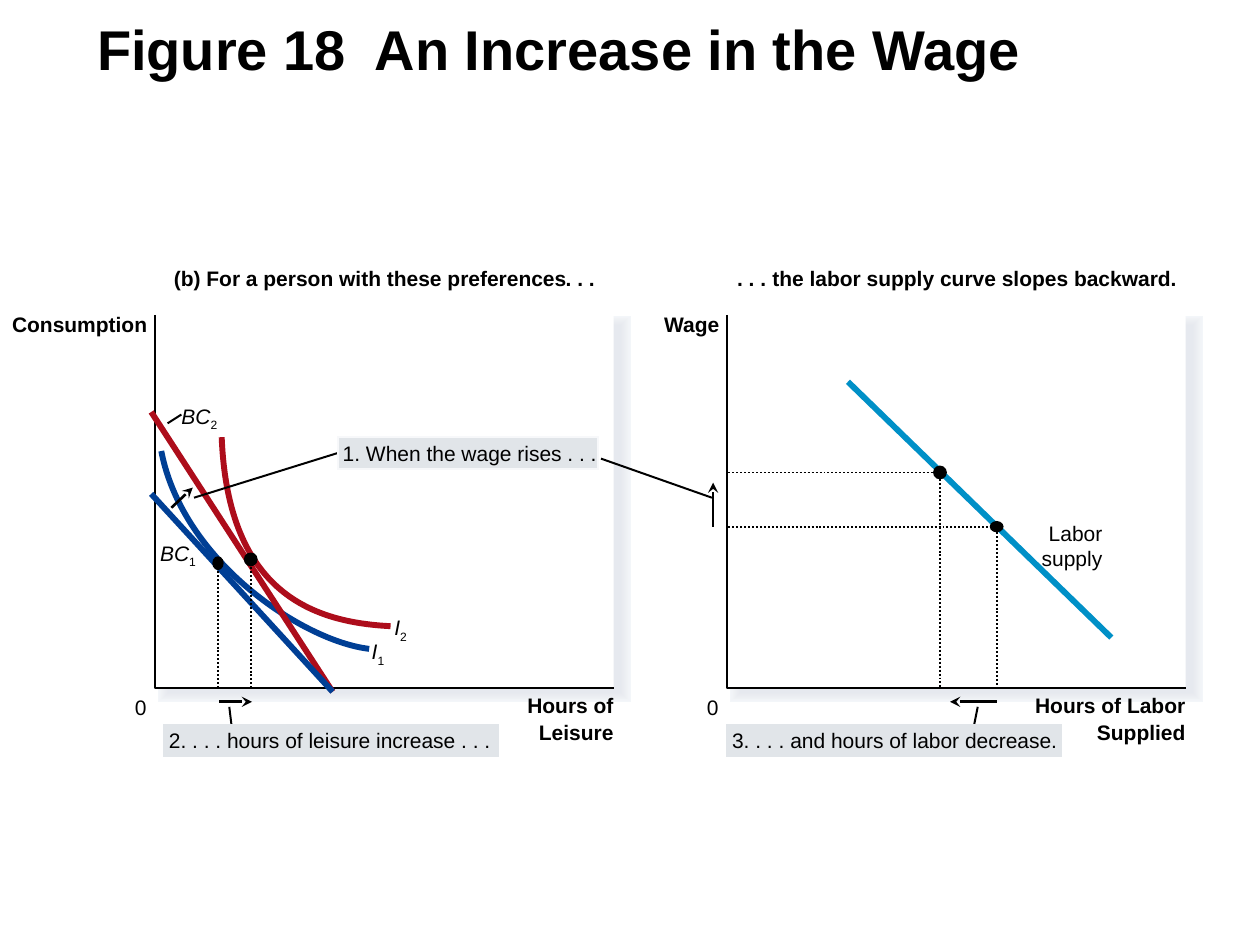
from dataclasses import dataclass
from pptx import Presentation
from pptx.dml.color import RGBColor
from pptx.enum.dml import MSO_LINE
from pptx.enum.shapes import MSO_CONNECTOR, MSO_SHAPE
from pptx.enum.text import MSO_ANCHOR, MSO_AUTO_SIZE, PP_ALIGN
from pptx.oxml.ns import qn
from pptx.util import Inches, Pt
from lxml.etree import SubElement


@dataclass(frozen=True)
class Theme:
    font: str = "Arial"
    head: float = 32
    body: float = 12
    black: str = "000000"
    white: str = "FFFFFF"
    blue: str = "003F95"
    red: str = "AD0D1B"
    cyan: str = "0090C7"
    note: str = "E1E5E9"
    edge: str = "F7F8FA"
    halo: tuple = ("F3F6F9", "F2F4F8", "F1F4F7", "F0F2F5", "EEF1F4", "EDEFF3",
                   "EBEEF2", "EAECF1", "E9EBF0", "E7EAEF", "E6E9EF")
    thin: float = 1.13
    arrow: float = 1.5
    thick: float = 3.37


T = Theme()
WIDE, HIGH = 3.64, 2.96
SLACK = 0.1  # spare label width, so that no line breaks


def style(font, size=T.body, bold=False, italic=False):
    font.name, font.size = T.font, Pt(size)
    font.bold, font.italic = bold, italic
    font.color.rgb = RGBColor.from_string(T.black)


def stroke(line, color, width, dots=False):
    line.color.rgb = RGBColor.from_string(color)
    line.width = Pt(width)
    if dots:
        line.dash_style = MSO_LINE.ROUND_DOT


class Pen:
    """Draws in inches from the top left corner of a region."""

    def __init__(self, shapes, left, top):
        self.shapes, self.left, self.top = shapes, left, top

    def spot(self, x, y):
        return Inches(self.left + x), Inches(self.top + y)

    def line(self, start, end, color=T.black, width=T.thin, dots=False):
        item = self.shapes.add_connector(
            MSO_CONNECTOR.STRAIGHT, *self.spot(*start), *self.spot(*end))
        stroke(item.line, color, width, dots)
        SubElement(item._element.spPr, qn("a:effectLst"))
        return item

    def arrow(self, start, end):
        item = self.line(start, end, width=T.arrow)
        SubElement(item.line._get_or_add_ln(), qn("a:tailEnd"), type="stealth")

    def trace(self, points, color=T.black, width=T.thin, dots=False):
        first, *rest = [self.spot(*p) for p in points]
        form = self.shapes.build_freeform(*first, scale=1.0)
        form.add_line_segments(rest, close=False)
        item = form.convert_to_shape()
        item.shadow.inherit = False
        item.fill.background()
        stroke(item.line, color, width, dots)
        return item

    def curve(self, points, color):
        """Turn a four-point trace into one Bezier segment."""
        item = self.trace(points, color, T.thick)
        track = next(item._element.iter(qn("a:path")))
        steps = track.findall(qn("a:lnTo"))
        bend = SubElement(track, qn("a:cubicBezTo"))
        for step in steps:
            bend.append(step[0])
            track.remove(step)

    def block(self, x, y, w, h, fill, edge=None, width=T.thin, kind=MSO_SHAPE.RECTANGLE):
        item = self.shapes.add_shape(kind, *self.spot(x, y), Inches(w), Inches(h))
        item.shadow.inherit = False
        item.fill.solid()
        item.fill.fore_color.rgb = RGBColor.from_string(fill)
        if edge:
            stroke(item.line, edge, width)
            SubElement(item.line._get_or_add_ln(), qn("a:miter"), lim="800000")
        else:
            item.line.fill.background()
        return item

    def dot(self, x, y, w=0.11, h=0.11):
        self.block(x - w / 2, y - h / 2, w, h, T.black, kind=MSO_SHAPE.OVAL)

    def label(self, x, y, w, text, bold=False, right=False, sub=""):
        """Place a label; with right, x is its right edge."""
        w += SLACK
        left = x - w if right else x
        box = self.shapes.add_textbox(
            *self.spot(left, y), Inches(w), Inches(0.23 if sub else 0.2))
        frame = box.text_frame
        frame.margin_left = frame.margin_right = 0
        frame.margin_top = frame.margin_bottom = 0
        frame.word_wrap = True
        frame.auto_size = MSO_AUTO_SIZE.NONE
        frame.text = text
        para = frame.paragraphs[0]
        para.alignment = PP_ALIGN.RIGHT if right else PP_ALIGN.LEFT
        style(para.runs[0].font, bold=bold, italic=bool(sub))
        if sub:
            run = para.add_run()
            run.text = sub
            style(run.font)
            run.font._element.set("baseline", "-25000")

    def note(self, x, y, w, text, leads, edge=T.note):
        for lead in leads:
            self.line(*lead)
        box = self.block(x, y, w, 0.25, T.note, edge)
        frame = box.text_frame
        frame.margin_left, frame.margin_right = Inches(0.04), 0
        frame.margin_top = frame.margin_bottom = 0
        frame.word_wrap = False
        frame.vertical_anchor = MSO_ANCHOR.MIDDLE
        frame.text = text
        para = frame.paragraphs[0]
        para.alignment = PP_ALIGN.LEFT
        style(para.runs[0].font)


def title(slide, text):
    head = slide.shapes.title
    head.left, head.top = Inches(0.67), Inches(0.06)
    head.width, head.height = Inches(9), Inches(0.75)
    frame = head.text_frame
    frame.text = text
    frame.vertical_anchor = MSO_ANCHOR.MIDDLE
    para = frame.paragraphs[0]
    para.alignment, para.line_spacing = PP_ALIGN.LEFT, 0.8
    style(para.runs[0].font, T.head, bold=True)


def axes(pen, heads, rise, across):
    """Draw the soft-edged plot area, its axes and their names."""
    for i, color in enumerate(T.halo):
        pen.block(0.11, 0.09, 3.58, 2.9, color, color, 12.25 - 1.11 * i)
    pen.block(0, 0, WIDE, HIGH, T.white)
    pen.trace([(0, 0), (0, HIGH), (WIDE, HIGH)])
    for x, w, text in heads:
        pen.label(x, -0.39, w, text, bold=True)
    pen.label(-0.06, -0.03, *rise, bold=True, right=True)
    for i, name in enumerate(across):
        pen.label(WIDE, 3 + 0.21 * i, *name, bold=True, right=True)
    pen.label(-0.16, 3.01, 0.09, "0")


def choice(pen):
    axes(pen, [(0.15, 3.17, "(b) For a person with these preferences"), (3.26, 0.23, ". . .")],
         (1.07, "Consumption"), [(0.69, "Hours of"), (0.59, "Leisure")])
    pen.curve([(0.05, 1.08), (0.22, 1.96), (1.18, 2.59), (1.7, 2.65)], T.blue)
    pen.curve([(0.53, 0.97), (0.58, 2.22), (1.27, 2.44), (1.87, 2.47)], T.red)
    for y, color in ((0.77, T.red), (1.42, T.blue)):
        pen.line((-0.03, y), (1.41, 2.99), color, T.thick)
    pen.line((0.21, 0.79), (0.1, 0.86))
    for x, y, w, text, sub in ((1.72, 2.57, 0.1, "I", "1"), (1.9, 2.38, 0.1, "I", "2"),
                               (0.04, 1.79, 0.29, "BC", "1"), (0.21, 0.7, 0.29, "BC", "2")):
        pen.label(x, y, w, text, sub=sub)
    for x, y, w in ((0.76, 1.94, 0.11), (0.5, 1.97, 0.09)):
        pen.line((x, y), (x, HIGH), dots=True)
        pen.dot(x, y, w)
    pen.arrow((0.13, 1.53), (0.3, 1.37))
    pen.arrow((0.51, 3.07), (0.77, 3.07))
    pen.note(0.07, 3.25, 2.65, "2. . . . hours of leisure increase . . .",
             [((0.59, 3.11), (0.62, 3.36))])


def supply(pen):
    axes(pen, [(0.08, 0.23, ". . ."), (0.36, 3.21, "the labor supply curve slopes backward.")],
         (0.45, "Wage"), [(1.2, "Hours of Labor"), (0.7, "Supplied")])
    pen.line((0.96, 0.53), (3.05, 2.56), T.cyan, T.thick)
    pen.label(2.98, 1.63, 0.43, "Labor", right=True)
    pen.label(2.98, 1.83, 0.53, "supply", right=True)
    for x, y, h in ((1.69, 1.25, 0.11), (2.14, 1.68, 0.09)):
        pen.trace([(0.01, y), (x, y), (x, HIGH)], dots=True)
        pen.dot(x, y, h=h)
    pen.arrow((-0.11, 1.68), (-0.11, 1.33))
    pen.arrow((2.14, 3.07), (1.77, 3.07))
    pen.note(0, 3.25, 2.65, "3. . . . and hours of labor decrease.",
             [((1.99, 3.11), (1.94, 3.36))])


def main():
    deck = Presentation()
    deck.slide_width, deck.slide_height = Inches(10), Inches(7.5)
    slide = deck.slides.add_slide(deck.slide_layouts[5])
    title(slide, "Figure 18  An Increase in the Wage")
    choice(Pen(slide.shapes, 1.23, 2.5))
    supply(Pen(slide.shapes, 5.77, 2.5))
    Pen(slide.shapes, 2.68, 3.47).note(
        0, 0, 2.07, "1. When the wage rises . . .",
        [((0.05, 0.11), (-1.14, 0.48)), ((2.09, 0.17), (2.97, 0.48))], T.edge)
    deck.save("out.pptx")


if __name__ == "__main__":
    main()
